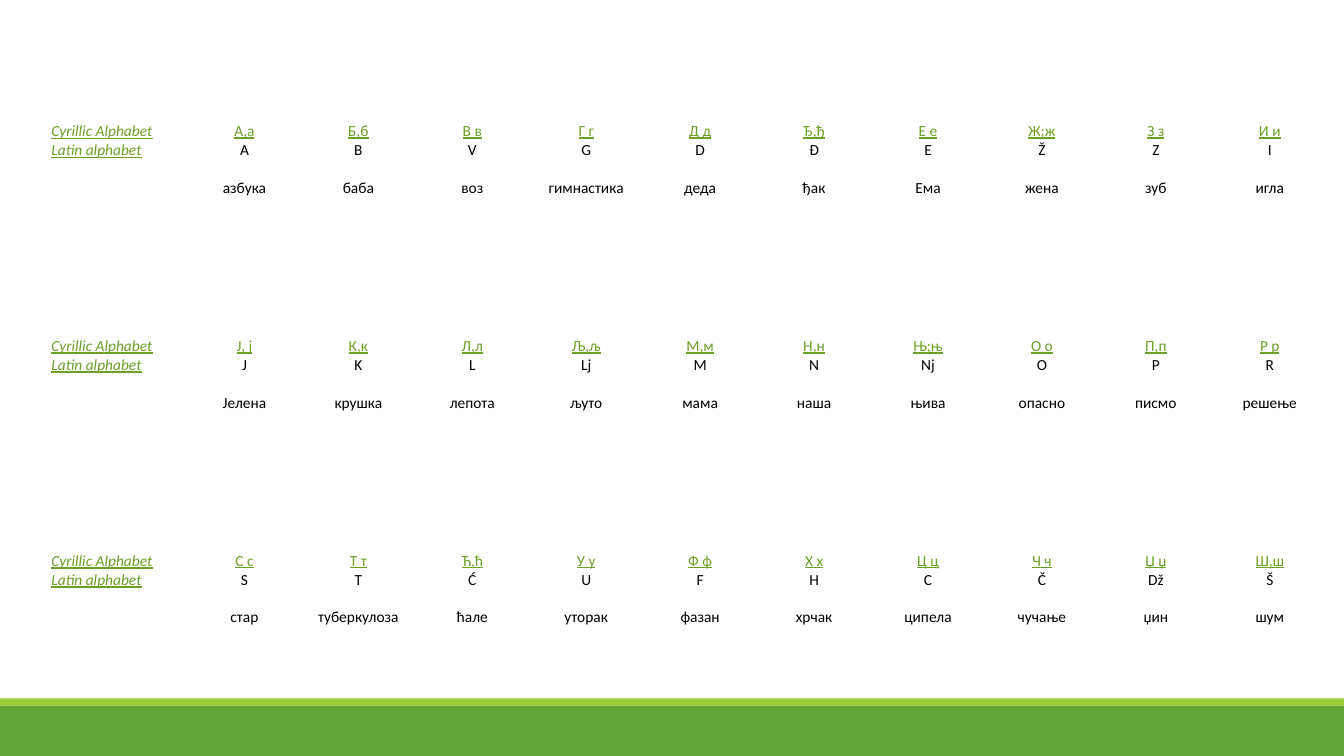
from pptx import Presentation
from pptx.dml.color import RGBColor
from pptx.enum.shapes import MSO_SHAPE
from pptx.enum.text import MSO_ANCHOR, PP_ALIGN
from pptx.util import Inches, Pt

LABELS = ("Cyrillic Alphabet", "Latin alphabet")
ROWS = [
    [("А,а", "A", "азбука"), ("Б,б", "B", "баба"), ("В в", "V", "воз"),
     ("Г г", "G", "гимнастика"), ("Д д", "D", "деда"), ("Ђ,ђ", "Đ", "ђак"),
     ("Е е", "E", "Ема"), ("Ж;ж", "Ž", "жена"), ("З з", "Z", "зуб"),
     ("И и", "I", "игла")],
    [("Ј, ј", "J", "Јелена"), ("К,к", "K", "крушка"), ("Л,л", "L", "лепота"),
     ("Љ,љ", "Lj", "љуто"), ("М,м", "M", "мама"), ("Н,н", "N", "наша"),
     ("Њ;њ", "Nj", "њива"), ("О о", "O", "опасно"), ("П,п", "P", "писмо"),
     ("Р р", "R", "решење")],
    [("С с", "S", "стар"), ("Т т", "T", "туберкулоза"), ("Ћ,ћ", "Ć", "ћале"),
     ("У у", "U", "уторак"), ("Ф ф", "F", "фазан"), ("Х х", "H", "хрчак"),
     ("Ц ц", "C", "ципела"), ("Ч ч", "Č", "чучање"), ("Џ џ", "Dž", "џин"),
     ("Ш,ш", "Š", "шум")],
]


def color(code):
    return RGBColor.from_string(code)


class Deck:
    """Hold the style and the current slide, and draw each kind of element."""

    font, size, line = "Calibri", 11, 13.4
    green, black, white = "6B9F25", "000000", "FFFFFF"
    inset = 0.07

    def __init__(self):
        self.file = Presentation()
        self.file.slide_width = Inches(13.33)
        self.file.slide_height = Inches(7.5)
        self.slide = self.file.slides.add_slide(self.file.slide_layouts[6])

    def band(self, top, height, fill):
        band = self.slide.shapes.add_shape(
            MSO_SHAPE.RECTANGLE, 0, Inches(top), self.file.slide_width, Inches(height))
        band.shadow.inherit = False
        band.fill.solid()
        band.fill.fore_color.rgb = color(fill)
        band.line.fill.background()

    def text(self, para, words, tone=black, align=PP_ALIGN.CENTER,
             under=False, slant=False, gap=0):
        para.alignment = align
        para.space_before = Pt(gap)
        run = para.add_run()
        run.text = words
        font = run.font
        font.name, font.size = self.font, Pt(self.size)
        font.underline, font.italic, font.bold = under, slant, False
        font.color.rgb = color(tone)

    def cell(self, cell, lines, styles, below=0):
        cell.fill.solid()
        cell.fill.fore_color.rgb = color(self.white)
        cell.vertical_anchor = MSO_ANCHOR.MIDDLE
        cell.margin_left = cell.margin_right = cell.margin_top = Inches(self.inset)
        cell.margin_bottom = Inches(self.inset) + Pt(below)
        frame = cell.text_frame
        for num, (words, style) in enumerate(zip(lines, styles)):
            para = frame.add_paragraph() if num else frame.paragraphs[0]
            self.text(para, words, **style)

    def table(self, left, top, first, width, height, rows):
        count = len(rows[0])
        grid = self.slide.shapes.add_table(
            len(rows), count + 1, Inches(left), Inches(top),
            Inches(first + width * count), Inches(height * len(rows))).table
        grid.first_row = grid.horz_banding = False
        for num, col in enumerate(grid.columns):
            col.width = Inches(width if num else first)
        label = dict(tone=self.green, align=PP_ALIGN.LEFT, under=True, slant=True)
        entry = [dict(tone=self.green, under=True), {}, dict(gap=self.line)]
        for num, row in enumerate(rows):
            grid.rows[num].height = Inches(height)
            self.cell(grid.cell(num, 0), LABELS, [label] * 2, below=2 * self.line)
            for col, lines in enumerate(row, 1):
                self.cell(grid.cell(num, col), lines, entry)


def main():
    deck = Deck()
    deck.band(7, 0.5, "63A537")
    deck.band(6.93, 0.07, "99CB38")
    deck.table(0.44, 0.52, 1.42, 1.13, 2.13, ROWS)
    deck.file.save("out.pptx")


if __name__ == "__main__":
    main()
